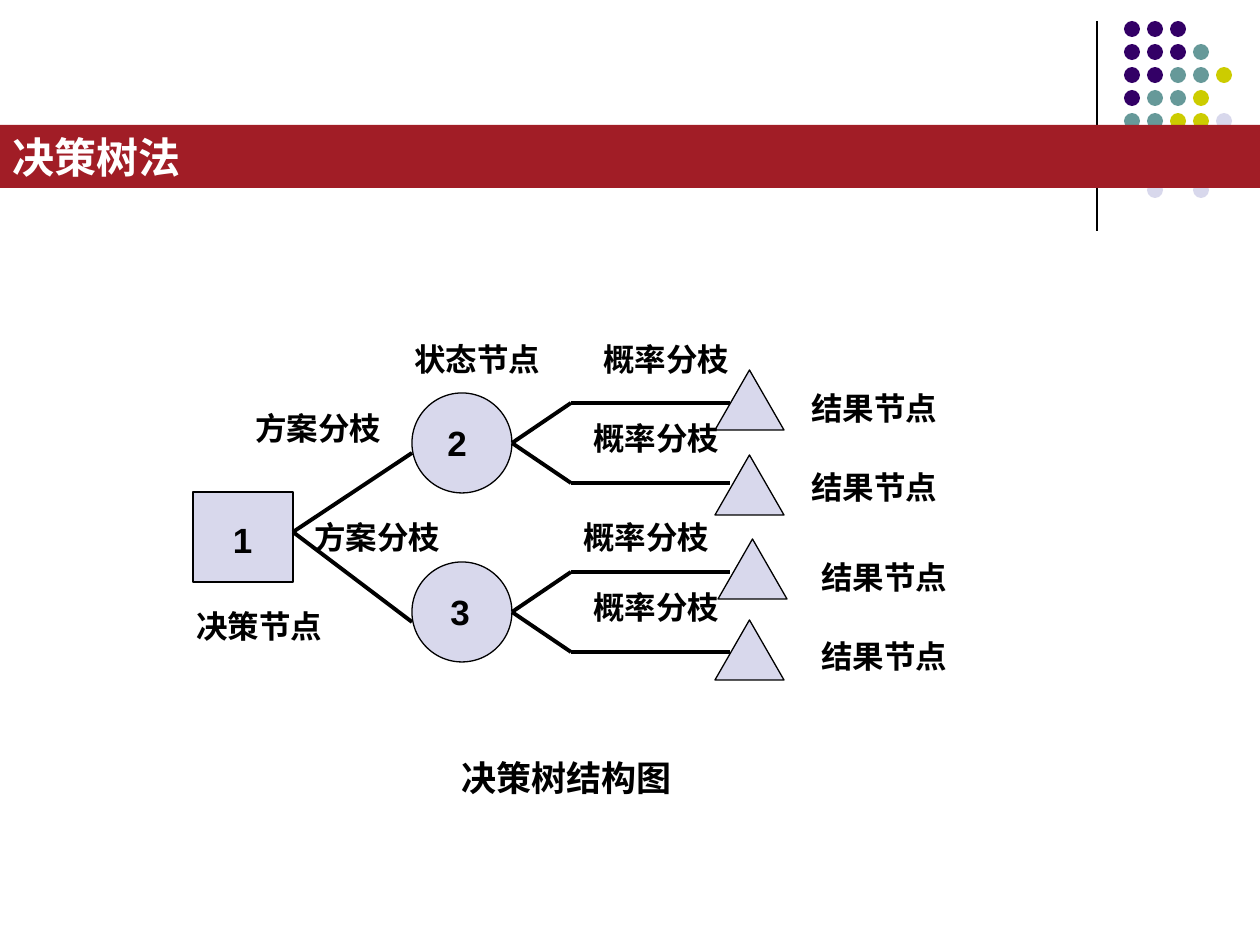
from pptx import Presentation
from pptx.dml.color import RGBColor
from pptx.enum.shapes import MSO_CONNECTOR, MSO_SHAPE as SHAPE
from pptx.enum.text import MSO_ANCHOR as ANCHOR, PP_ALIGN as ALIGN
from pptx.oxml import parse_xml
from pptx.oxml.ns import nsdecls
from pptx.util import Pt

PX = 914400 / 126
BLACK = RGBColor(0x00, 0x00, 0x00)
WHITE = RGBColor(0xFF, 0xFF, 0xFF)
RED = RGBColor(0xA1, 0x1D, 0x26)
LAVENDER = RGBColor(0xD8, 0xD8, 0xEC)
PURPLE = RGBColor(0x33, 0x00, 0x66)
TEAL = RGBColor(0x66, 0x99, 0x99)
OLIVE = RGBColor(0xCC, 0xCC, 0x00)

DOT_COLORS = {"P": PURPLE, "T": TEAL, "O": OLIVE, "L": LAVENDER}
DOT_ROWS = ["PPP", "PPPT", "PPTTO", "PTTO", "TTOOL", "", "", " L L"]
SQUARE = (193, 492, 100, 90)
STATE_NODES = [("2", 443, 435), ("3", 612, 438)]
RESULT_NODES = [(715, 370), (715, 455), (718, 539), (715, 620)]
LABELS = [
    ("决策节点", 184, 601, 179),
    ("方案分枝", 243, 403, 169),
    ("方案分枝", 302, 512, 169),
    ("状态节点", 402, 334, 159),
    ("概率分枝", 591, 334, 159),
    ("概率分枝", 581, 413, 159),
    ("概率分枝", 571, 512, 159),
    ("概率分枝", 581, 582, 159),
    ("结果节点", 799, 383, 208),
    ("结果节点", 799, 462, 208),
    ("结果节点", 809, 552, 208),
    ("结果节点", 809, 631, 208),
]


def px(*values):
    """Turn pixel lengths into EMU."""
    return [round(v * PX) for v in values]


class Canvas:
    """Holds the text style and the slide, and draws each kind of element."""

    def __init__(self, slide):
        self.slide = slide
        self.font = {"name": "Arial", "bold": True}

    def fill_text(self, tf, text, size, color, align):
        tf.word_wrap = True
        p = tf.paragraphs[0]
        p.alignment = align
        r = p.add_run()
        r.text = text
        for key, value in {**self.font, "size": Pt(size)}.items():
            setattr(r.font, key, value)
        r.font.color.rgb = color

    def shape(self, kind, box, fill, outlined=True):
        sp = self.slide.shapes.add_shape(kind, *px(*box))
        sp.shadow.inherit = False
        sp.fill.solid()
        sp.fill.fore_color.rgb = fill
        if outlined:
            sp.line.color.rgb = BLACK
            sp.line.width = Pt(0.75)
        else:
            sp.line.fill.background()
        return sp

    def text(self, text, box, size=18, align=ALIGN.LEFT):
        tb = self.slide.shapes.add_textbox(*px(*box))
        self.fill_text(tb.text_frame, text, size, BLACK, align)

    def line(self, start, end, width=2.25):
        cn = self.slide.shapes.add_connector(MSO_CONNECTOR.STRAIGHT, *px(*start, *end))
        cn.line.color.rgb = BLACK
        cn.line.width = Pt(width)
        cn._element.spPr.append(parse_xml(f"<a:effectLst {nsdecls('a')}/>"))

    def banner(self, text, box):
        sp = self.shape(SHAPE.RECTANGLE, box, RED, outlined=False)
        sp.text_frame.vertical_anchor = ANCHOR.MIDDLE
        self.fill_text(sp.text_frame, text, 24, WHITE, ALIGN.JUSTIFY)


def main():
    prs = Presentation()
    prs.slide_width, prs.slide_height = px(1260, 945)
    c = Canvas(prs.slides.add_slide(prs.slide_layouts[6]))

    c.line((1097, 21), (1097, 231), 0.75)
    for row, dots in enumerate(DOT_ROWS):
        for col, key in enumerate(dots):
            if key in DOT_COLORS:
                box = (1124 + 23 * col, 21 + 23 * row, 16, 16)
                c.shape(SHAPE.OVAL, box, DOT_COLORS[key], outlined=False)

    c.shape(SHAPE.RECTANGLE, SQUARE, LAVENDER)
    c.text("1", (203, 512, 79, 54), 20, ALIGN.CENTER)
    for number, mid, left in STATE_NODES:
        c.line((293, 532), (412, mid + 10))
        c.shape(SHAPE.OVAL, (412, mid - 50, 100, 100), LAVENDER)
        c.text(number, (left, mid - 28, 59, 54), 20)
        for y in (mid - 40, mid + 40):
            c.line((512, mid), (571, y))
            c.line((571, y), (730, y))
    for x, y in RESULT_NODES:
        c.shape(SHAPE.ISOSCELES_TRIANGLE, (x, y, 69, 60), LAVENDER)
    for text, x, y, width in LABELS:
        c.text(text, (x, y, width, 50))

    c.text("决策树结构图", (353, 750, 427, 54), 20, ALIGN.CENTER)
    c.banner("决策树法", (0, 125, 1260, 63))
    prs.save("out.pptx")


if __name__ == "__main__":
    main()
